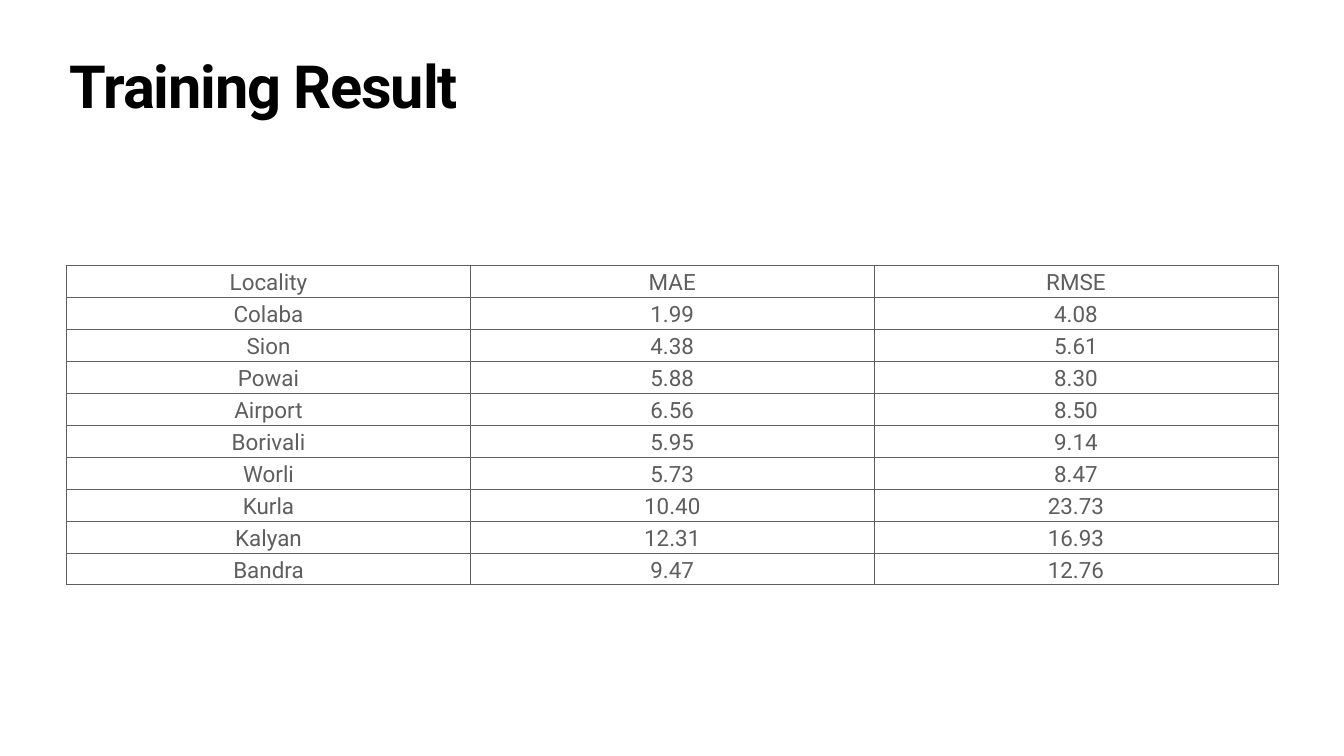
from lxml import etree
from pptx import Presentation
from pptx.dml.color import RGBColor
from pptx.enum.text import MSO_ANCHOR as Anchor, PP_ALIGN as Align
from pptx.oxml.ns import qn
from pptx.util import Pt

PX = 9525  # EMU per px
FONT = "Roboto"
COLORS = {"title": "000000", "text": "5E5E5E", "border": "5E5E5E"}
LEFT, COL_W, ROW_H = 127, 769, 57

RESULTS = [
    ("Locality", "MAE", "RMSE"),
    ("Colaba", "1.99", "4.08"),
    ("Sion", "4.38", "5.61"),
    ("Powai", "5.88", "8.30"),
    ("Airport", "6.56", "8.50"),
    ("Borivali", "5.95", "9.14"),
    ("Worli", "5.73", "8.47"),
    ("Kurla", "10.40", "23.73"),
    ("Kalyan", "12.31", "16.93"),
    ("Bandra", "9.47", "12.76"),
]


def px(n):
    return n * PX


def set_margins(target, margin):
    target.margin_left = target.margin_right = margin
    target.margin_top = target.margin_bottom = margin


def add_run(p, text, size, color, bold=False):
    r = p.add_run()
    r.text = text
    r.font.name = FONT
    r.font.size = Pt(size)
    r.font.bold = bold
    r.font.color.rgb = RGBColor.from_string(COLORS[color])
    return r


def add_title(s, text, x, y, w, h):
    tf = s.shapes.add_textbox(px(x), px(y), px(w), px(h)).text_frame
    tf.word_wrap = True
    tf.vertical_anchor = Anchor.TOP
    set_margins(tf, px(6))
    p = tf.paragraphs[0]
    p.line_spacing = 0.8
    r = add_run(p, text, 85, "title", bold=True)
    r.font._element.set("spc", "-170")


def set_borders(cell):
    tcPr = cell._tc.get_or_add_tcPr()
    for i, side in enumerate(("lnL", "lnR", "lnT", "lnB")):
        ln = etree.Element(qn(f"a:{side}"), w=str(Pt(1)))
        fill = etree.SubElement(ln, qn("a:solidFill"))
        etree.SubElement(fill, qn("a:srgbClr"), val=COLORS["border"])
        tcPr.insert(i, ln)  # borders come before the fill


def fill_cell(cell, text):
    cell.fill.background()
    cell.vertical_anchor = Anchor.MIDDLE
    set_margins(cell, px(1))
    set_borders(cell)
    p = cell.text_frame.paragraphs[0]
    p.alignment = Align.CENTER
    p.line_spacing = 1.15
    p.space_after = Pt(8)
    add_run(p, text, 32, "text")


def add_results_table(s, rows, x, y):
    n_rows, n_cols = len(rows), len(rows[0])
    table = s.shapes.add_table(n_rows, n_cols, px(x), px(y),
                               px(n_cols * COL_W), px(n_rows * ROW_H)).table
    table.first_row = table.horz_banding = False
    for i, row in enumerate(rows):
        for j, text in enumerate(row):
            fill_cell(table.cell(i, j), text)


def main():
    prs = Presentation()
    prs.slide_width, prs.slide_height = px(2560), px(1440)
    s = prs.slides.add_slide(prs.slide_layouts[6])

    # Heading
    add_title(s, "Training Result", LEFT, 113, 3 * COL_W, 151)

    # Errors per locality
    add_results_table(s, RESULTS, LEFT, 505)

    prs.save("out.pptx")


if __name__ == "__main__":
    main()
